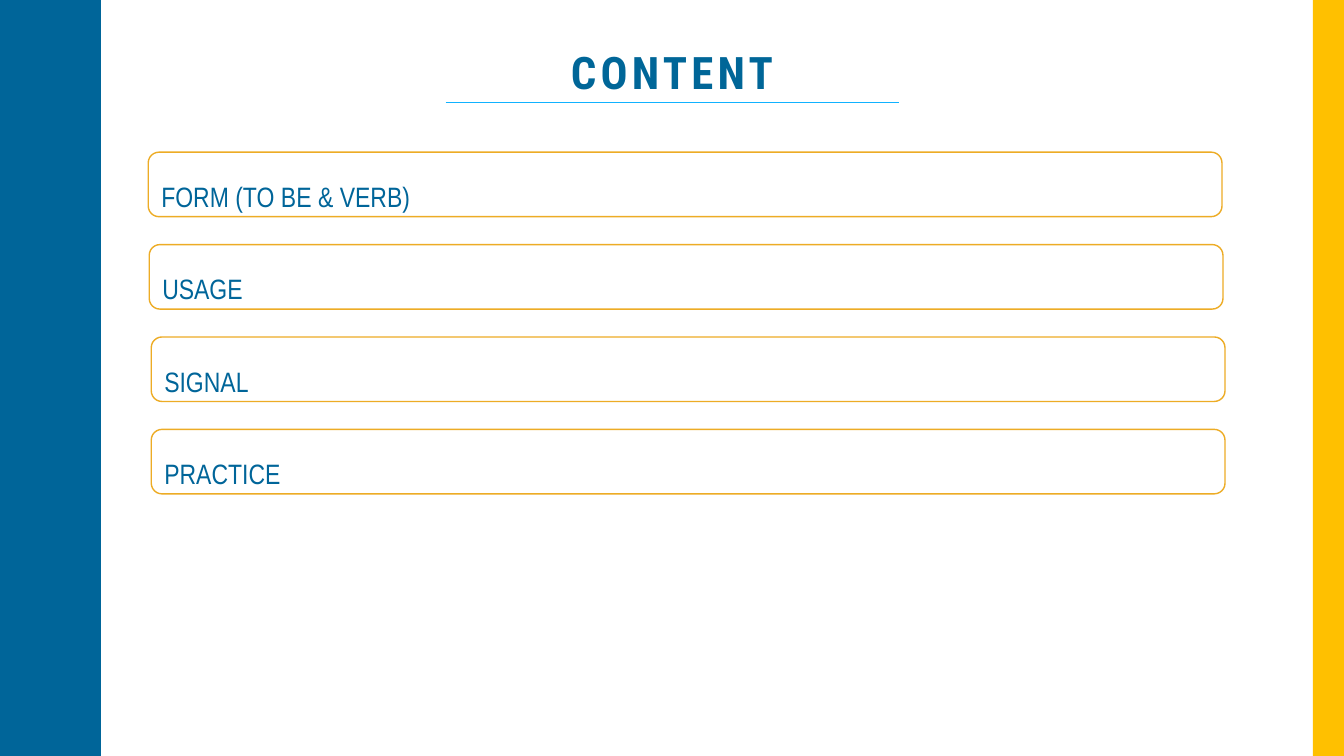
from lxml import etree
from pptx import Presentation
from pptx.dml.color import RGBColor
from pptx.enum.shapes import MSO_CONNECTOR as Connector, MSO_SHAPE as Shape
from pptx.enum.text import MSO_ANCHOR as Anchor, MSO_AUTO_SIZE as AutoSize, PP_ALIGN as Align
from pptx.oxml.ns import qn
from pptx.util import Inches, Pt

COLORS = {
    "wave": "006599",
    "band": "FFC000",
    "topic": "006599",
    "outline": "EDAC25",
    "title": "006698",
    "rule": "11B2FF",
}
TOPICS = [
    ("FORM (TO BE & VERB)", 1.47),
    ("USAGE", 1.48),
    ("SIGNAL", 1.5),
    ("PRACTICE", 1.5),
]
FIRST_TOP = 1.51
TOPIC_STEP = 2.75 / 3

SLIDE_HEIGHT = 7.5
WAVE_PERIOD = 1.5
# Edge from the trough to the crest of a wave, as (x, y)
HALF_WAVE = [
    (0.78, 0), (0.78, 0.07), (0.79, 0.14), (0.8, 0.2), (0.81, 0.25),
    (0.83, 0.29), (0.85, 0.33), (0.87, 0.38), (0.89, 0.42), (0.91, 0.46),
    (0.93, 0.5), (0.95, 0.55), (0.96, 0.61), (0.97, 0.68), (0.97, 0.75),
]


def wave_outline():
    """Return the corners of the side panel whose right edge is wavy."""
    falling = [(x, WAVE_PERIOD - y) for x, y in reversed(HALF_WAVE[:-1])]
    edge = [
        (x, y + wave * WAVE_PERIOD)
        for wave in range(round(SLIDE_HEIGHT / WAVE_PERIOD))
        for x, y in HALF_WAVE + falling
    ]
    return [(0, 0), *edge, (0, SLIDE_HEIGHT)]


class ContentSlide:
    def __init__(self, slide):
        self.slide = slide
        self.shapes = slide.shapes

    def color(self, name):
        return RGBColor.from_string(COLORS[name])

    def style_font(self, font, name, size, color, bold=False):
        font.name = name
        font.size = Pt(size)
        font.bold = bold
        font.color.rgb = self.color(color)

    def paint(self, shape, color):
        shape.shadow.inherit = False
        shape.fill.solid()
        shape.fill.fore_color.rgb = self.color(color)
        shape.line.fill.background()

    def wave(self):
        start, *corners = wave_outline()
        builder = self.shapes.build_freeform(*start, scale=Inches(1))
        builder.add_line_segments(corners, close=True)
        self.paint(builder.convert_to_shape(), "wave")

    def band(self, left, top, width, height):
        band = self.shapes.add_shape(
            Shape.RECTANGLE, Inches(left), Inches(top), Inches(width), Inches(height))
        self.paint(band, "band")

    def title(self, text, left, top, width, height):
        title = self.shapes.title
        title.left, title.top = Inches(left), Inches(top)
        title.width, title.height = Inches(width), Inches(height)
        frame = title.text_frame
        frame.text = text
        frame.word_wrap = True
        frame.auto_size = AutoSize.SHAPE_TO_FIT_TEXT
        frame.vertical_anchor = Anchor.TOP
        heading = frame.paragraphs[0]
        heading.alignment = Align.CENTER
        self.style_font(heading.font, "Roboto Condensed", 32, "title", bold=True)
        letter_spacing = str(Pt(3).centipoints)
        heading.runs[0].font._element.set("spc", letter_spacing)

    def rule(self, left, right, y):
        rule = self.shapes.add_connector(
            Connector.STRAIGHT, Inches(left), Inches(y), Inches(right), Inches(y))
        rule.line.color.rgb = self.color("rule")
        rule.line.width = Pt(0.5)
        etree.SubElement(rule._element.spPr, qn("a:effectLst"))

    def topic(self, text, left, top):
        box = self.shapes.add_shape(
            Shape.ROUNDED_RECTANGLE, Inches(left), Inches(top), Inches(10.65), Inches(0.64))
        box.shadow.inherit = False
        box.fill.background()
        box.line.color.rgb = self.color("outline")
        box.line.width = Pt(1)
        frame = box.text_frame
        frame.text = text
        frame.word_wrap = True
        frame.vertical_anchor = Anchor.MIDDLE
        label = frame.paragraphs[0]
        label.alignment = Align.JUSTIFY
        label.line_spacing = 1.7
        self.style_font(label.font, "Arial Narrow", 20, "topic")
        properties = label._p.get_or_add_pPr()
        properties.set("marL", str(Inches(0.32)))
        properties.set("indent", str(Inches(-0.32)))


def main():
    deck = Presentation()
    deck.slide_width, deck.slide_height = Inches(13.33), Inches(SLIDE_HEIGHT)
    title_only = deck.slide_layouts[5]
    content = ContentSlide(deck.slides.add_slide(title_only))
    content.wave()
    content.band(13.02, 0, 0.31, SLIDE_HEIGHT)
    for row, (topic, left) in enumerate(TOPICS):
        content.topic(topic, left, FIRST_TOP + row * TOPIC_STEP)
    content.title("CONTENT", 3.79, 0.39, 5.75, 0.64)
    content.rule(4.42, 8.92, 1.02)
    deck.save("out.pptx")


if __name__ == "__main__":
    main()
